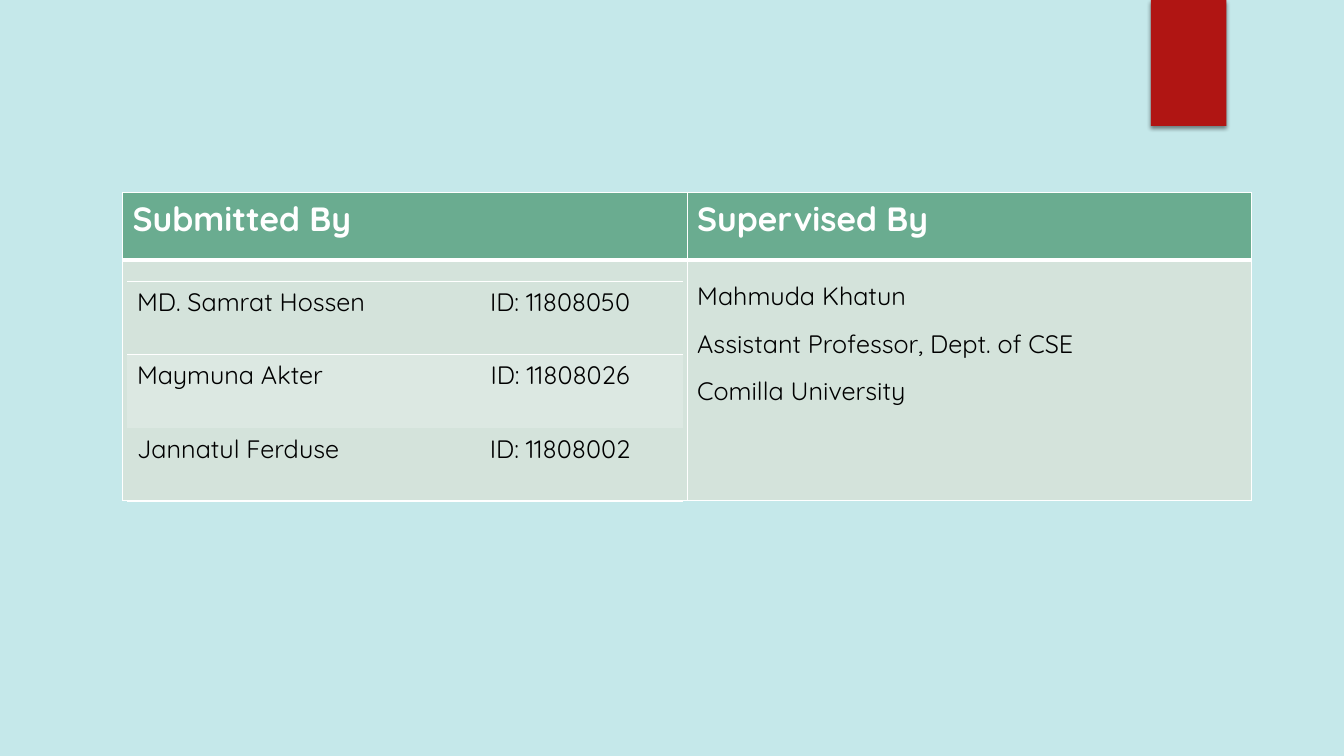
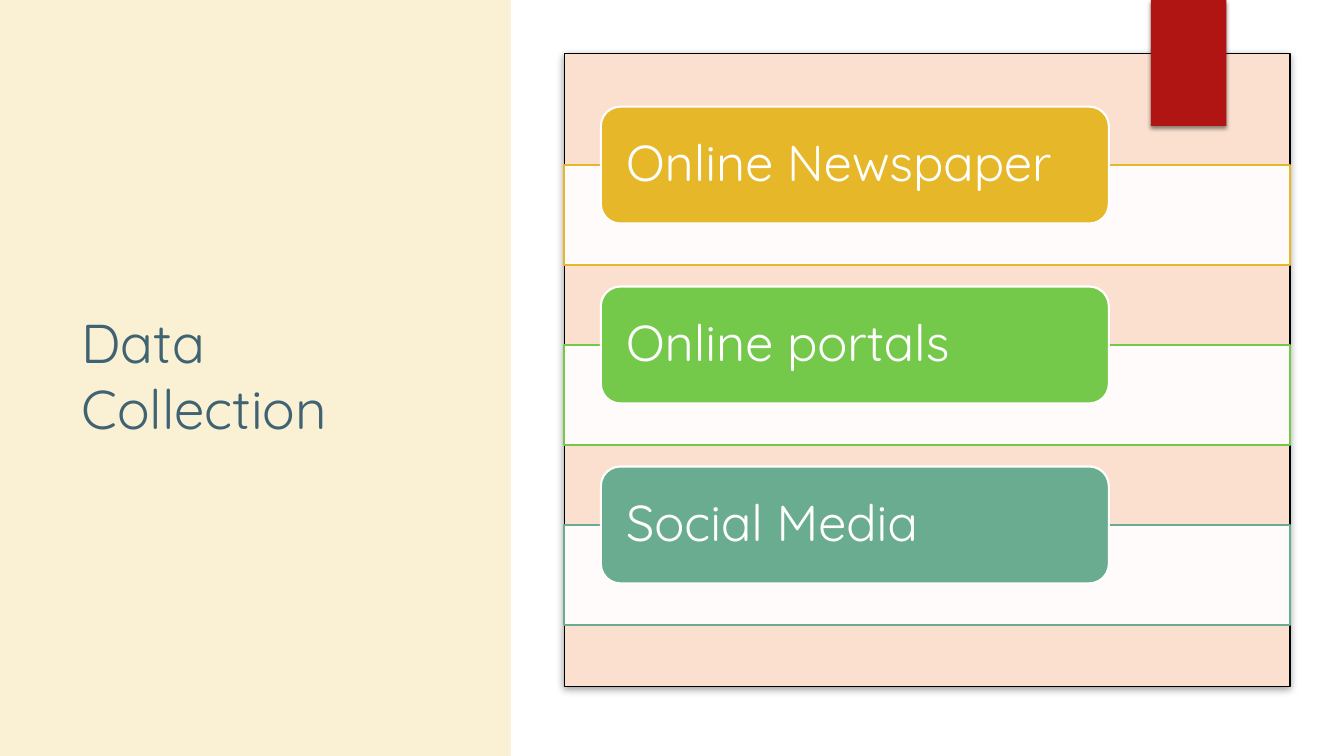
from lxml import etree
from pptx import Presentation
from pptx.dml.color import RGBColor
from pptx.enum import shapes, text
from pptx.oxml import ns
from pptx.util import Pt

FONT = "Quicksand"
WHITE = RGBColor(0xFF, 0xFF, 0xFF)
BLACK = RGBColor(0, 0, 0)
AQUA = RGBColor(0xC5, 0xE8, 0xEA)
CREAM = RGBColor(0xFA, 0xF1, 0xD4)
PEACH = RGBColor(0xFB, 0xE0, 0xCF)
RED = RGBColor(0xB0, 0x15, 0x13)
SLATE = RGBColor(0x3F, 0x63, 0x73)
YELLOW = RGBColor(0xE6, 0xB7, 0x29)
GREEN = RGBColor(0x75, 0xC9, 0x4A)
TEAL = RGBColor(0x6A, 0xAC, 0x90)
PALE_TEAL = RGBColor(0xD4, 0xE3, 0xDB)

PAGE_WIDTH, PAGE_HEIGHT = 960, 540
TITLE_ONLY, BLANK = 5, 6
SIDES = ("lnL", "lnR", "lnT", "lnB")


# Shared helpers
def add_xml(parent, tag, **attributes):
    child = etree.SubElement(parent, ns.qn(tag))
    for name, value in attributes.items():
        child.set(name, str(value))
    return child


def fill_solid(fill, color, opacity=100):
    fill.solid()
    fill.fore_color.rgb = color
    if opacity < 100:
        for node in fill._xPr.iter(ns.qn("a:srgbClr")):
            add_xml(node, "a:alpha", val=opacity * 1000)


def write_text(frame, lines, size=18, color=BLACK, bold=False,
               align=text.PP_ALIGN.LEFT, spacing=1.0):
    for index, line in enumerate(lines):
        para = frame.add_paragraph() if index else frame.paragraphs[0]
        para.alignment = align
        para.line_spacing = spacing
        span = para.add_run()
        span.text = line
        span.font.name = FONT
        span.font.size = Pt(size)
        span.font.bold = bold
        span.font.color.rgb = color


def add_box(page, left, top, width, height, color, opacity=100, line=None,
            line_width=1.0, shadow=None, kind=shapes.MSO_SHAPE.RECTANGLE):
    box = page.shapes.add_shape(kind, Pt(left), Pt(top), Pt(width), Pt(height))
    fill_solid(box.fill, color, opacity)
    if line is None:
        box.line.fill.background()
    else:
        box.line.color.rgb = line
        box.line.width = Pt(line_width)
    box.shadow.inherit = False
    if shadow:
        blur, opacity = shadow
        effects = box._element.spPr.find(ns.qn("a:effectLst"))
        outer = add_xml(effects, "a:outerShdw", blurRad=Pt(blur), dist=Pt(2),
                        dir=5400000, rotWithShape=0)
        tint = add_xml(outer, "a:srgbClr", val=BLACK)
        add_xml(tint, "a:alpha", val=opacity * 1000)
    return box


def add_page(deck, layout, color):
    page = deck.slides.add_slide(deck.slide_layouts[layout])
    fill_solid(page.background.fill, color)
    return page


def add_red_tab(page):
    add_box(page, 822, 0, 54, 90, RED, shadow=(3, 45))


# Tables
def add_plain_table(page, left, top, widths, heights):
    table = page.shapes.add_table(
        len(heights), len(widths), Pt(left), Pt(top),
        Pt(sum(widths)), Pt(sum(heights))).table
    table.first_row = table.horz_banding = False
    for column, width in zip(table.columns, widths):
        column.width = Pt(width)
    for row, height in zip(table.rows, heights):
        row.height = Pt(height)
    return table


def set_borders(cell, **widths):
    """White borders by side; a side without a width gets no line."""
    properties = cell._tc.get_or_add_tcPr()
    for index, side in enumerate(SIDES):
        width = widths.get(side, 0)
        line = etree.Element(ns.qn("a:" + side))
        line.set("w", str(Pt(width)))
        if width:
            add_xml(add_xml(line, "a:solidFill"), "a:srgbClr", val=WHITE)
        else:
            add_xml(line, "a:noFill")
        properties.insert(index, line)


def add_credits_table(page, left, top):
    table = add_plain_table(page, left, top, [403.2, 403.2], [48, 172])
    thin = dict.fromkeys(SIDES, 1)
    for column, heading in enumerate(["Submitted By", "Supervised By"]):
        head, body = table.cell(0, column), table.cell(1, column)
        fill_solid(head.fill, TEAL)
        fill_solid(body.fill, PALE_TEAL)
        set_borders(head, **{**thin, "lnB": 3})
        set_borders(body, **{**thin, "lnT": 3})
        write_text(head.text_frame, [heading], size=24, color=WHITE, bold=True)
    write_text(table.cell(1, 1).text_frame,
               ["Mahmuda Khatun", "Assistant Professor, Dept. of CSE",
                "Comilla University"], spacing=1.5)


def add_students_table(page, left, top):
    students = [("MD. Samrat Hossen", "ID: 11808050"),
                ("Maymuna Akter", "ID: 11808026"),
                ("Jannatul Ferduse", "ID: 11808002")]
    borders = [{"lnT": 1, "lnB": 1}, {"lnT": 1}, {"lnB": 1}]
    aligns = [text.PP_ALIGN.LEFT, text.PP_ALIGN.CENTER]
    table = add_plain_table(page, left, top, [221.6, 175.6], [52.4] * 3)
    for row, student in enumerate(students):
        for column, value in enumerate(student):
            cell = table.cell(row, column)
            if row == 1:
                fill_solid(cell.fill, WHITE, opacity=20)
            else:
                cell.fill.background()
            set_borders(cell, **borders[row])
            write_text(cell.text_frame, [value], align=aligns[column])


# Parts of the data collection slide
def add_title(page, caption, left, top, width, height):
    title = page.shapes.title
    title.left, title.top = Pt(left), Pt(top)
    title.width, title.height = Pt(width), Pt(height)
    frame = title.text_frame
    frame.word_wrap = True
    frame.auto_size = text.MSO_AUTO_SIZE.NONE
    frame.vertical_anchor = text.MSO_ANCHOR.MIDDLE
    write_text(frame, [caption], size=39, color=SLATE)


def add_source_list(page, left, top, width, height):
    add_box(page, left, top, width, height, PEACH, line=BLACK, shadow=(5, 39))
    sources = [("Online Newspaper", YELLOW), ("Online portals", GREEN),
               ("Social Media", TEAL)]
    pitch, label_height, strip_height = 128.5, 83.5, 71.5
    for index, (name, color) in enumerate(sources):
        label_top = top + 38 + index * pitch
        add_box(page, left, label_top + label_height / 2, width, strip_height,
                WHITE, opacity=90, line=color, line_width=1.5)
        label = add_box(page, left + 26, label_top, width * 0.7, label_height,
                        color, line=WHITE, line_width=1.5,
                        kind=shapes.MSO_SHAPE.ROUNDED_RECTANGLE)
        frame = label.text_frame
        frame.word_wrap = True
        frame.vertical_anchor = text.MSO_ANCHOR.MIDDLE
        # The rounded corner already insets the text by about 4 pt
        frame.margin_left = frame.margin_right = Pt(14)
        frame.margin_top = frame.margin_bottom = 0
        write_text(frame, [name], size=36, color=WHITE, spacing=0.9)


# Slides
def build_credits(deck):
    page = add_page(deck, BLANK, AQUA)
    add_red_tab(page)
    add_credits_table(page, 87.6, 137.5)
    add_students_table(page, 90.7, 201)


def build_data_collection(deck):
    page = add_page(deck, TITLE_ONLY, CREAM)
    add_title(page, "Data Collection", 51, 83.5, 276, 368)
    add_box(page, 365, 0, PAGE_WIDTH - 365, PAGE_HEIGHT, WHITE)
    add_source_list(page, 403.2, 38.2, 518.4, 452)
    add_red_tab(page)


def main():
    deck = Presentation()
    deck.slide_width, deck.slide_height = Pt(PAGE_WIDTH), Pt(PAGE_HEIGHT)
    build_credits(deck)
    build_data_collection(deck)
    deck.save("out.pptx")


if __name__ == "__main__":
    main()
